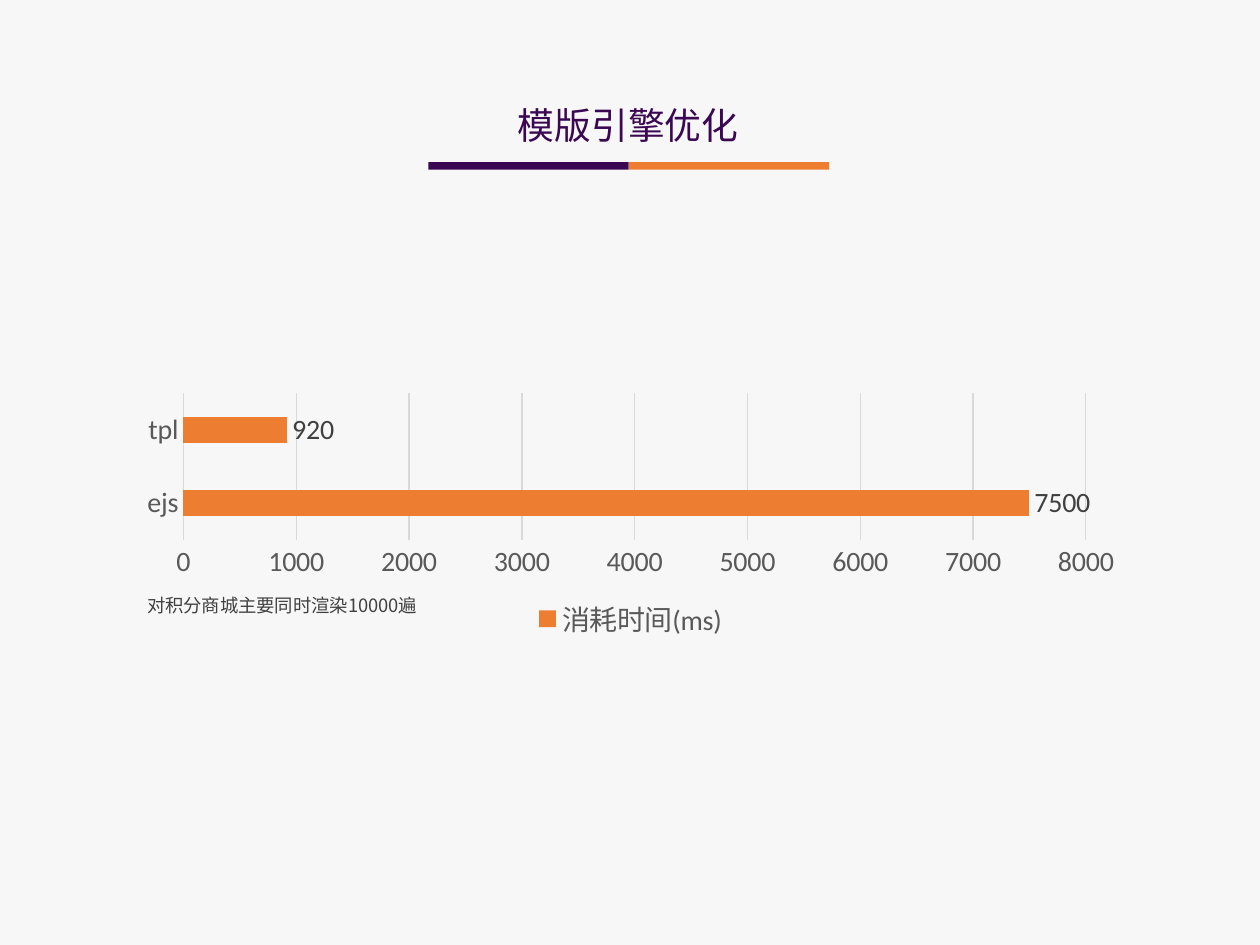
"""Build the slide on template engine optimisation with its timing chart."""
from lxml.etree import SubElement
from pptx import Presentation
from pptx.chart.data import CategoryChartData as Data
from pptx.dml.color import RGBColor
from pptx.enum.chart import XL_CHART_TYPE as Kind, XL_LABEL_POSITION as Spot
from pptx.enum.chart import XL_LEGEND_POSITION as Side, XL_TICK_MARK as Tick
from pptx.enum.shapes import MSO_SHAPE as Form
from pptx.enum.text import MSO_AUTO_SIZE as Fit, PP_ALIGN as Align
from pptx.oxml.ns import qn
from pptx.util import Pt

PURPLE, ORANGE, GRID = "3B0752", "ED7D31", "D9D9D9"
DARK, GREY = "404040", "595959"
CJK = "Noto Sans CJK SC"


def paint(item, tone):
    item.fill.solid()
    item.fill.fore_color.rgb = RGBColor.from_string(tone)


def write(text, box, size, tone, align=Align.LEFT, space=1.0):
    frame = slide.shapes.add_textbox(*map(Pt, box)).text_frame
    frame.word_wrap = True
    frame.auto_size = Fit.SHAPE_TO_FIT_TEXT
    para = frame.paragraphs[0]
    para.alignment, para.line_spacing = align, space
    run = para.add_run()
    run.text = text
    run.font.size, run.font.name = Pt(size), CJK
    paint(run.font, tone)
    SubElement(run.font._element, qn("a:ea"), typeface=CJK)


deck = Presentation()
deck.slide_width, deck.slide_height = Pt(720), Pt(540)
slide = deck.slides.add_slide(deck.slide_layouts[6])
paint(slide.background, "F7F7F7")

write("对积分商城主要同时渲染10000遍", (77, 329.8, 202.3, 26), 10.5, DARK, space=1.5)

data = Data()
data.categories = ["ejs", "tpl"]
data.add_series("消耗时间(ms)", [7500, 920])
area = map(Pt, (72.7, 221.8, 575.3, 146.2))
chart = slide.shapes.add_chart(Kind.BAR_CLUSTERED, *area, data).chart
chart.has_title = False
chart.has_legend = True
legend = chart.legend
legend.position, legend.include_in_layout = Side.BOTTOM, False

plot = chart.plots[0]
plot.gap_width, plot.vary_by_categories = 182, False
bars = plot.series[0]
paint(bars.format, ORANGE)
labels = bars.data_labels
labels.show_value, labels.position = True, Spot.OUTSIDE_END

cats, vals = chart.category_axis, chart.value_axis
for axis in (cats, vals):
    axis.major_tick_mark = axis.minor_tick_mark = Tick.NONE
vals.minimum_scale, vals.maximum_scale, vals.major_unit = 0, 8000, 1000
vals.format.line.fill.background()
for rule in (cats, vals.major_gridlines):
    rule.format.line.width = Pt(0.75)
    paint(rule.format.line, GRID)

fonts = [(chart.font, "000000"), (labels.font, DARK)]
fonts += [(part.font, GREY) for part in (cats.tick_labels, vals.tick_labels, legend)]
for font, tone in fonts:
    font.size, font.name = Pt(16), "Calibri"
    paint(font, tone)

write("模版引擎优化", (208.8, 55.4, 300.2, 59), 21, PURPLE, align=Align.CENTER)
wide = 114.5
for i, tone in enumerate((PURPLE, ORANGE)):
    bar = slide.shapes.add_shape(
        Form.RECTANGLE, Pt(244.8 + i * wide), Pt(92.6), Pt(wide), Pt(4.3))
    bar.shadow.inherit = False
    paint(bar, tone)
    bar.line.fill.background()

deck.save("out.pptx")
